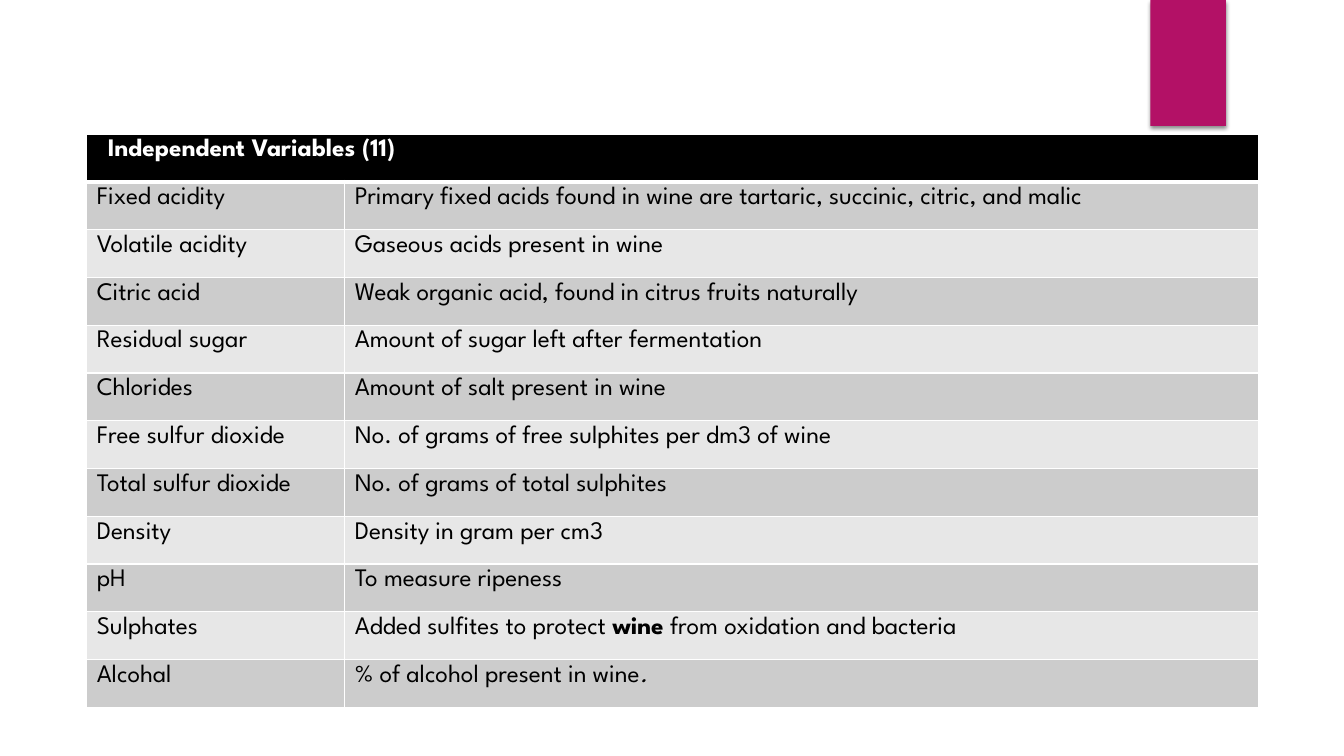
from lxml import etree
from pptx import Presentation
from pptx.dml.color import RGBColor
from pptx.enum.shapes import MSO_SHAPE
from pptx.oxml import parse_xml
from pptx.oxml.ns import nsdecls, qn
from pptx.util import Inches, Pt

RECTANGLE = MSO_SHAPE.RECTANGLE
SLIDE_WIDTH, SLIDE_HEIGHT = Inches(13.33), Inches(7.5)
FONT, FONT_SIZE = "League Spartan", Pt(18)
COLORS = {
    "accent": "B31166",
    "header": "000000",
    "header_text": "FFFFFF",
    "text": "000000",
    "odd_row": "CCCCCC",
    "even_row": "E7E7E7",
    "border": "FFFFFF",
    "shadow": "000000",
}
TABLE_LEFT, TABLE_TOP = Inches(0.86), Inches(1.33)
TABLE_HEIGHT = Inches(5.69)
COLUMN_WIDTHS = [Inches(2.56), Inches(9.06)]
HEADER_INDENT = Inches(0.21)
THIN, THICK = Pt(1), Pt(3)

HEADING = "Independent Variables (11)"
# Each description is a list of (text, style) runs.
VARIABLES = [
    ("Fixed acidity", [("Primary fixed acids found in wine are tartaric, succinic, citric, and malic", "")]),
    ("Volatile acidity", [("Gaseous acids present in wine", "")]),
    ("Citric acid", [("Weak organic acid, found in citrus fruits naturally", "")]),
    ("Residual sugar", [("Amount of sugar left after fermentation", "")]),
    ("Chlorides", [("Amount of salt present in wine", "")]),
    ("Free sulfur dioxide", [("No. of grams of free sulphites per dm3 of wine", "")]),
    ("Total sulfur dioxide", [("No. of grams of total sulphites", "")]),
    ("Density", [("Density in gram per cm3", "")]),
    ("pH", [("To measure ripeness", "")]),
    ("Sulphates", [("Added sulfites to protect ", ""), ("wine", "bold"),
                   (" from oxidation and bacteria", "")]),
    ("Alcohal", [("% of alcohol present in wine", ""), (".", "italic")]),
]


def color(name):
    return RGBColor.from_string(COLORS[name])


def add_accent_tab(slide):
    tab = slide.shapes.add_shape(RECTANGLE, Inches(11.41), 0, Inches(0.75), Inches(1.25))
    tab.fill.solid()
    tab.fill.fore_color.rgb = color("accent")
    tab.line.fill.background()
    tab.shadow.inherit = False
    effects = tab._element.spPr.find(qn("a:effectLst"))
    effects.append(parse_xml(
        f'<a:outerShdw {nsdecls("a")} blurRad="{Pt(3)}" dist="{Pt(2)}" dir="5400000" '
        f'algn="ctr" rotWithShape="0"><a:srgbClr val="{COLORS["shadow"]}">'
        '<a:alpha val="45000"/></a:srgbClr></a:outerShdw>'))


def set_borders(cell, top=THIN, bottom=THIN):
    properties = cell._tc.get_or_add_tcPr()
    widths = {"lnL": THIN, "lnR": THIN, "lnT": top, "lnB": bottom}
    for position, (side, width) in enumerate(widths.items()):
        line = etree.Element(qn(f"a:{side}"), w=str(width))
        fill = etree.SubElement(line, qn("a:solidFill"))
        etree.SubElement(fill, qn("a:srgbClr"), val=COLORS["border"])
        properties.insert(position, line)


def fill_cell(cell, runs, fill, text_color):
    cell.fill.solid()
    cell.fill.fore_color.rgb = color(fill)
    paragraph = cell.text_frame.paragraphs[0]
    for text, style in runs:
        run = paragraph.add_run()
        run.text = text
        run.font.name, run.font.size = FONT, FONT_SIZE
        run.font.bold = style == "bold"
        run.font.italic = style == "italic"
        run.font.color.rgb = color(text_color)


def add_variable_table(slide):
    row_count = len(VARIABLES) + 1
    table = slide.shapes.add_table(row_count, len(COLUMN_WIDTHS), TABLE_LEFT, TABLE_TOP,
                                   sum(COLUMN_WIDTHS), TABLE_HEIGHT).table
    for column, width in zip(table.columns, COLUMN_WIDTHS):
        column.width = width
    for row in table.rows:
        row.height = TABLE_HEIGHT // row_count

    header = table.cell(0, 0)
    header.merge(table.cell(0, 1))
    header.margin_left = HEADER_INDENT
    fill_cell(header, [(HEADING, "bold")], "header", "header_text")
    for cell in table.rows[0].cells:
        set_borders(cell, bottom=THICK)

    for index, (name, description) in enumerate(VARIABLES, start=1):
        fill = "odd_row" if index % 2 else "even_row"
        for cell, runs in zip(table.rows[index].cells, ([(name, "")], description)):
            fill_cell(cell, runs, fill, "text")
            set_borders(cell, top=THICK if index == 1 else THIN)


def main():
    presentation = Presentation()
    presentation.slide_width, presentation.slide_height = SLIDE_WIDTH, SLIDE_HEIGHT
    slide = presentation.slides.add_slide(presentation.slide_layouts[6])
    add_accent_tab(slide)
    add_variable_table(slide)
    presentation.save("out.pptx")


if __name__ == "__main__":
    main()
